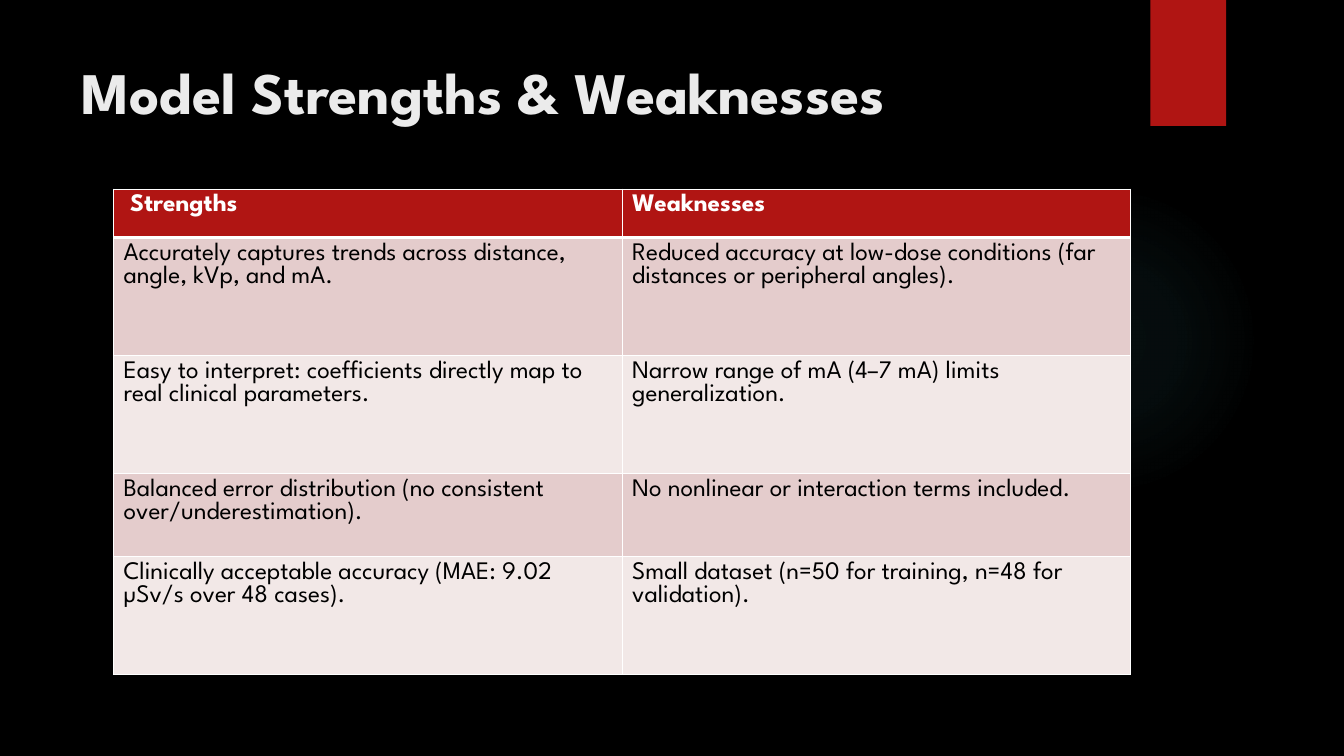
from lxml.etree import SubElement
from pptx import Presentation
from pptx.dml.color import RGBColor
from pptx.enum.shapes import MSO_SHAPE as Preset
from pptx.enum.text import MSO_ANCHOR as Anchor, PP_ALIGN as Align
from pptx.oxml import parse_xml
from pptx.oxml.ns import nsdecls, qn
from pptx.util import Pt

BLACK = RGBColor(0x00, 0x00, 0x00)
WHITE = RGBColor(0xFF, 0xFF, 0xFF)
TITLE_GRAY = RGBColor(0xEB, 0xEB, 0xEB)
RED = RGBColor(0xB0, 0x15, 0x13)
DARK_BAND = RGBColor(0xE4, 0xCC, 0xCC)
LIGHT_BAND = RGBColor(0xF2, 0xE8, 0xE7)
GLOW = RGBColor(0x50, 0xB9, 0xC1)

TITLE = "Model Strengths & Weaknesses"
ROWS = [
    (" Strengths", "Weaknesses"),
    ("Accurately captures trends across distance, angle, kVp, and mA.",
     "Reduced accuracy at low-dose conditions (far distances or peripheral angles)."),
    ("Easy to interpret: coefficients directly map to real clinical parameters.",
     "Narrow range of mA (4–7 mA) limits generalization."),
    ("Balanced error distribution (no consistent over/underestimation).",
     "No nonlinear or interaction terms included."),
    ("Clinically acceptable accuracy (MAE: 9.02 µSv/s over 48 cases).",
     "Small dataset (n=50 for training, n=48 for validation)."),
]
ROW_HEIGHTS = [34.4, 84.4, 84.4, 59.2, 84.4]
GLOW_STOPS = [(0, 7), (36, 6), (69, 0)]


class SlideBuilder:
    font_name = "League Spartan"

    def __init__(self, presentation):
        self.slide = presentation.slides.add_slide(presentation.slide_layouts[5])
        background = self.slide.background.fill
        background.solid()
        background.fore_color.rgb = BLACK

    def format_text(self, text_frame, size, color, bold):
        for paragraph in text_frame.paragraphs:
            paragraph.alignment = Align.LEFT
            for run in paragraph.runs:
                run.font.name = self.font_name
                run.font.size = Pt(size)
                run.font.bold = bold
                run.font.color.rgb = color

    def title(self, text, left, top, width, height):
        shape = self.slide.shapes.title
        shape.left, shape.top = Pt(left), Pt(top)
        shape.width, shape.height = Pt(width), Pt(height)
        shape.text_frame.text = text
        shape.text_frame.word_wrap = True
        shape.text_frame.vertical_anchor = Anchor.TOP
        self.format_text(shape.text_frame, 42, TITLE_GRAY, True)

    def shape(self, preset, left, top, width, height, color):
        shape = self.slide.shapes.add_shape(
            preset, Pt(left), Pt(top), Pt(width), Pt(height))
        shape.shadow.inherit = False
        shape.line.fill.background()
        shape.fill.solid()
        shape.fill.fore_color.rgb = color
        return shape

    def glow(self, left, top, diameter):
        """Add a circle that fades out from its centre."""
        shape = self.shape(Preset.OVAL, left, top, diameter, diameter, GLOW)
        stops = "".join(
            f'<a:gs pos="{position * 1000}"><a:srgbClr val="{GLOW}">'
            f'<a:alpha val="{opacity * 1000}"/></a:srgbClr></a:gs>'
            for position, opacity in GLOW_STOPS)
        gradient = parse_xml(
            f'<a:gradFill {nsdecls("a")}><a:gsLst>{stops}</a:gsLst>'
            '<a:path path="circle"><a:fillToRect l="50000" t="50000" '
            'r="50000" b="50000"/></a:path></a:gradFill>')
        properties = shape.element.spPr
        properties.replace(properties.find(qn("a:solidFill")), gradient)

    def border(self, cell, side, width):
        line = SubElement(cell._tc.get_or_add_tcPr(), qn(f"a:ln{side}"),
                          w=str(Pt(width)))
        fill = SubElement(line, qn("a:solidFill"))
        SubElement(fill, qn("a:srgbClr"), val=str(WHITE))

    def table(self, rows, heights, left, top, width):
        columns = len(rows[0])
        table = self.slide.shapes.add_table(
            len(rows), columns, Pt(left), Pt(top), Pt(width),
            Pt(sum(heights))).table
        for column in table.columns:
            column.width = Pt(width / columns)
        for index, (texts, height) in enumerate(zip(rows, heights)):
            table.rows[index].height = Pt(height)
            header = index == 0
            band = RED if header else DARK_BAND if index % 2 else LIGHT_BAND
            widths = {"L": 1, "R": 1, "T": 3 if index == 1 else 1,
                      "B": 3 if header else 1}
            for column, text in enumerate(texts):
                cell = table.cell(index, column)
                for side, line_width in widths.items():
                    self.border(cell, side, line_width)
                cell.fill.solid()
                cell.fill.fore_color.rgb = band
                cell.text_frame.text = text
                self.format_text(cell.text_frame, 18,
                                 WHITE if header else BLACK, header)


def main():
    presentation = Presentation()
    presentation.slide_width, presentation.slide_height = Pt(960), Pt(540)
    builder = SlideBuilder(presentation)
    builder.glow(677.5, 131.8, 221.8)
    builder.shape(Preset.RECTANGLE, 821.8, 0, 54, 90, RED)
    builder.title(TITLE, 50.9, 36, 740.9, 110.2)
    builder.table(ROWS, ROW_HEIGHTS, 81.1, 135.2, 726.6)
    presentation.save("out.pptx")


if __name__ == "__main__":
    main()
